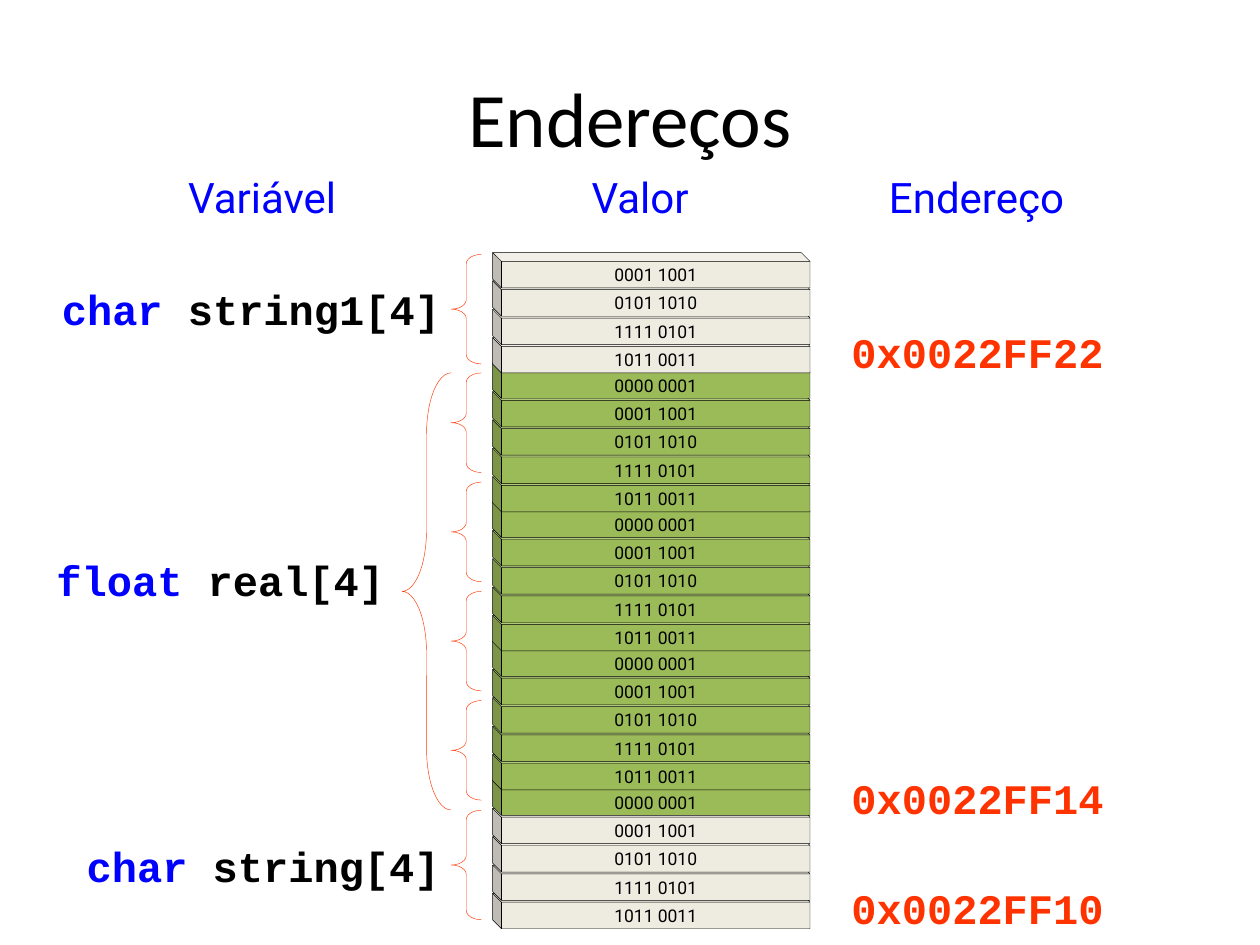
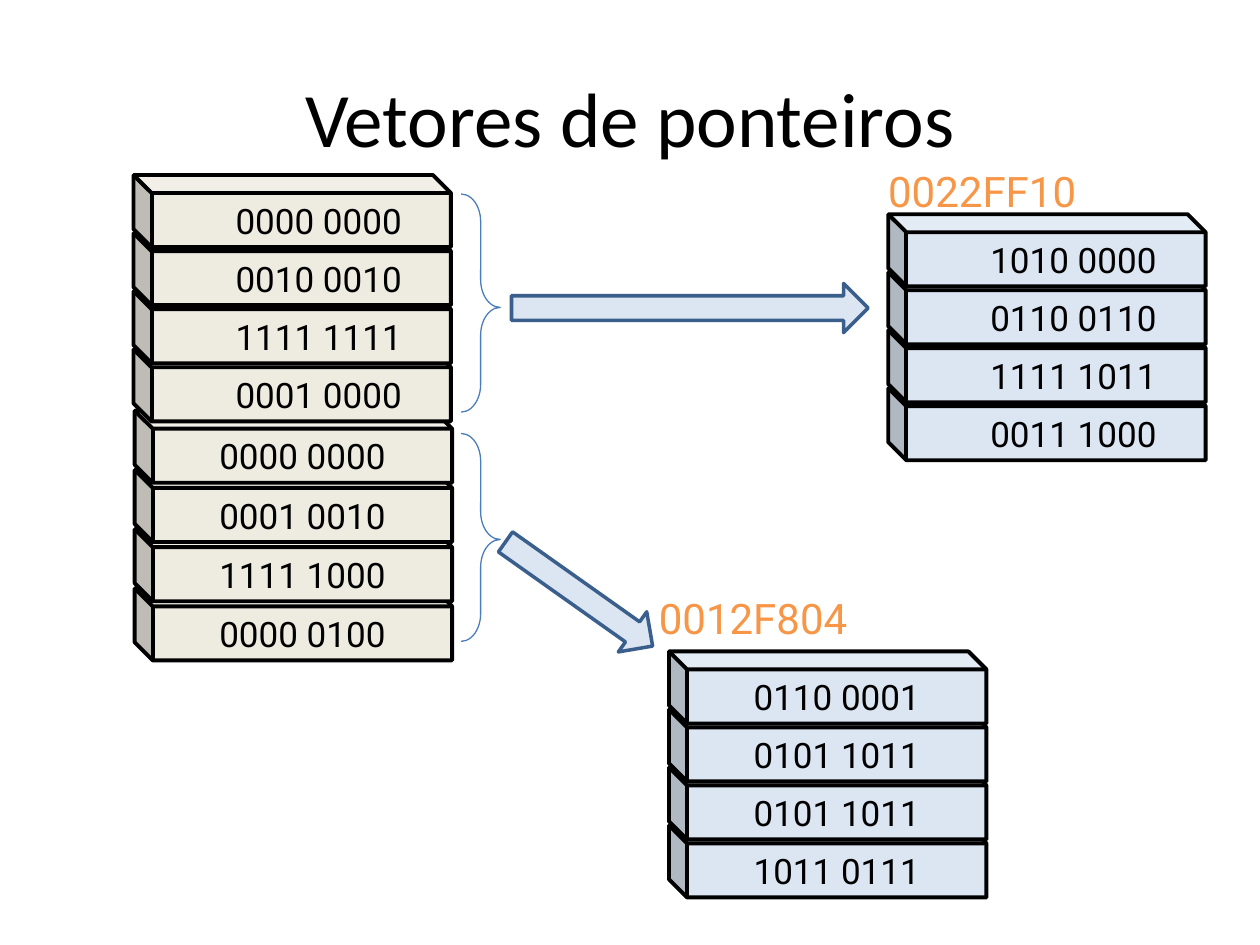
"""Build two slides on memory: array addresses and arrays of pointers."""
from dataclasses import dataclass
from typing import Optional

from pptx import Presentation, util as u
from pptx.dml import color as c
from pptx.enum import shapes, text

Rgb = c.RGBColor
BLACK = Rgb(0x00, 0x00, 0x00)
BLUE = Rgb(0x00, 0x00, 0xFF)
RED = Rgb(0xFF, 0x33, 0x00)
ORANGE = Rgb(0xF7, 0x96, 0x46)
CREAM = Rgb(0xEE, 0xEC, 0xE1)
GREEN = Rgb(0x9B, 0xBB, 0x59)
PALE = Rgb(0xDC, 0xE6, 0xF2)
STEEL = Rgb(0x4A, 0x7E, 0xBB)
NAVY = Rgb(0x3A, 0x5F, 0x8C)

CODE = "Courier New"
SANS = "Roboto"
HEAD = "Calibri"

LEFT = text.PP_ALIGN.LEFT
MID = text.PP_ALIGN.CENTER
RIGHT = text.PP_ALIGN.RIGHT
Kind = shapes.MSO_SHAPE

CUBE_W = 181.4
RIGHT_GAP = 28


@dataclass(frozen=True)
class Box:
    left: float
    top: float
    width: float
    height: float


@dataclass(frozen=True)
class Run:
    words: str
    tint: Rgb = BLACK


@dataclass(frozen=True)
class Style:
    font: str
    size: float
    bold: bool = False
    align: text.PP_ALIGN = LEFT
    wrap: bool = False
    lead: Optional[float] = None


@dataclass(frozen=True)
class Label:
    box: Box
    runs: tuple[Run, ...]
    style: Style


@dataclass(frozen=True)
class Stack:
    left: float
    base: float
    step: float
    fill: Rgb
    align: text.PP_ALIGN
    bytes: tuple[str, ...]


@dataclass(frozen=True)
class Brace:
    box: Box
    curl: float
    point: float = 0.5


TITLE = Style(HEAD, 44, align=MID, wrap=True)
COLUMN = Style(SANS, 24, align=MID, wrap=True)
NAME = Style(CODE, 24, bold=True, lead=1.08)
NAME_END = Style(CODE, 24, bold=True, align=RIGHT)
PLACE = Style(SANS, 24, lead=1.08)
SMALL = Style(SANS, 10, align=MID)


def place(box: Box) -> tuple:
    return tuple(u.Pt(n) for n in (box.left, box.top, box.width, box.height))


def write(frame, runs: tuple[Run, ...], style: Style) -> None:
    frame.word_wrap = style.wrap
    line = frame.paragraphs[0]
    line.alignment = style.align
    if style.lead:
        line.line_spacing = style.lead
    for part in runs:
        run = line.add_run()
        run.text = part.words
        run.font.name = style.font
        run.font.size = u.Pt(style.size)
        run.font.bold = style.bold
        run.font.color.rgb = part.tint


def add_label(slide, label: Label):
    frame = slide.shapes.add_textbox(*place(label.box)).text_frame
    write(frame, label.runs, label.style)
    return frame


def add_title(slide, words: str) -> None:
    frame = add_label(slide, Label(Box(36, 21.6, 648, 90), (Run(words),), TITLE))
    frame.vertical_anchor = text.MSO_ANCHOR.MIDDLE


def add_form(slide, kind: Kind, box: Box, line: Rgb, weight: float,
             fill: Optional[Rgb] = None):
    form = slide.shapes.add_shape(kind, *place(box))
    form.shadow.inherit = False
    if fill is None:
        form.fill.background()
    else:
        form.fill.solid()
        form.fill.fore_color.rgb = fill
    form.line.color.rgb = line
    form.line.width = u.Pt(weight)
    return form


def add_cube(slide, box: Box, fill: Rgb, weight: float, words: str, style: Style):
    cube = add_form(slide, Kind.CUBE, box, BLACK, weight, fill)
    cube.element.spPr.xfrm.set("flipH", "1")
    frame = cube.text_frame
    frame.vertical_anchor = text.MSO_ANCHOR.MIDDLE
    write(frame, (Run(words),), style)
    return frame


def add_stack(slide, stack: Stack) -> None:
    end = stack.align == RIGHT
    style = Style(SANS, 20, align=stack.align, wrap=end)
    for i, words in enumerate(reversed(stack.bytes)):
        box = Box(stack.left, stack.base - i * stack.step, CUBE_W, 41.2)
        frame = add_cube(slide, box, stack.fill, 2.24, words, style)
        if end:
            frame.margin_right = u.Pt(RIGHT_GAP)


def add_brace(slide, kind: Kind, brace: Brace, line: Rgb, weight: float) -> None:
    form = add_form(slide, kind, brace.box, line, weight)
    form.adjustments[0] = brace.curl
    form.adjustments[1] = brace.point


def add_arrow(slide, box: Box, turn: float = 0) -> None:
    add_form(slide, Kind.RIGHT_ARROW, box, NAVY, 2, PALE).rotation = turn


def draw_places(slide) -> None:
    cycle = ("1011 0011", "1111 0101", "0101 1010", "0001 1001", "0000 0001")
    for i in range(24):
        group, row = divmod(i, len(cycle))
        box = Box(281.5, 510.5 - 79.4 * group - 16.2 * row, CUBE_W, 20.2)
        add_cube(slide, box, GREEN if 4 <= i < 20 else CREAM, 0.26, cycle[row], SMALL)

    for left, words in ((70.6, "Variável"), (286.6, "Valor"), (478.8, "Endereço")):
        add_label(slide, Label(Box(left, 94.3, 158.4, 36), (Run(words, BLUE),), COLUMN))
    for top, words in ((180.7, "0x0022FF22"), (435.6, "0x0022FF14"), (498.2, "0x0022FF10")):
        add_label(slide, Label(Box(479.5, top, 158.4, 36), (Run(words, RED),), NAME))
    for box, key, name, style in (
        (Box(28.1, 158.4, 230.4, 36), "char", " string1[4]", NAME_END),
        (Box(25.2, 311, 201.6, 36), "float", " real[4]", NAME),
        (Box(42.5, 474.5, 216, 36), "char", " string[4]", NAME),
    ):
        add_label(slide, Label(box, (Run(key, BLUE), Run(name)), style))

    braces = [Brace(Box(229.7, 213.1, 28.1, 249.8), 1.25)]
    braces += [Brace(Box(257.8, top, 17.3, 62.6), 0.31) for top in (145.4, 463)]
    braces += [Brace(Box(257.8, 213.1 + 62.4 * i, 17.3, 56.9), 0.31) for i in range(4)]
    for brace in braces:
        add_brace(slide, Kind.LEFT_BRACE, brace, RED, 0.26)
    add_title(slide, "Endereços")


def draw_links(slide) -> None:
    add_title(slide, "Vetores de ponteiros")
    for stack in (
        Stack(77, 336.2, 33.84, CREAM, MID,
              ("0000 0000", "0001 0010", "1111 1000", "0000 0100")),
        Stack(76.3, 199.6, 33.2, CREAM, RIGHT,
              ("0000 0000", "0010 0010", "1111 1111", "0001 0000")),
        Stack(382.3, 471.6, 33.12, PALE, MID,
              ("0110 0001", "0101 1011", "0101 1011", "1011 0111")),
        Stack(507.6, 221.8, 33.12, PALE, RIGHT,
              ("1010 0000", "0110 0110", "1111 1011", "0011 1000")),
    ):
        add_stack(slide, stack)
    for brace in (
        Brace(Box(263.5, 247.7, 22.3, 118.8), 0.71, 0.51),
        Brace(Box(263.5, 110.9, 22.3, 124.6), 0.71, 0.52),
    ):
        add_brace(slide, Kind.RIGHT_BRACE, brace, STEEL, 0.75)
    add_arrow(slide, Box(292.3, 162, 203.8, 28.1))
    add_arrow(slide, Box(279.4, 325.4, 103, 28.1), 35.3)
    for box, words in (
        (Box(500.4, 88.6, 133.2, 36), "0022FF10"),
        (Box(369.4, 332.6, 134.6, 36), "0012F804"),
    ):
        add_label(slide, Label(box, (Run(words, ORANGE),), PLACE))


def main() -> None:
    deck = Presentation()
    deck.slide_width, deck.slide_height = u.Pt(720), u.Pt(540)
    for draw in (draw_places, draw_links):
        draw(deck.slides.add_slide(deck.slide_layouts[6]))
    deck.save("out.pptx")


main()
